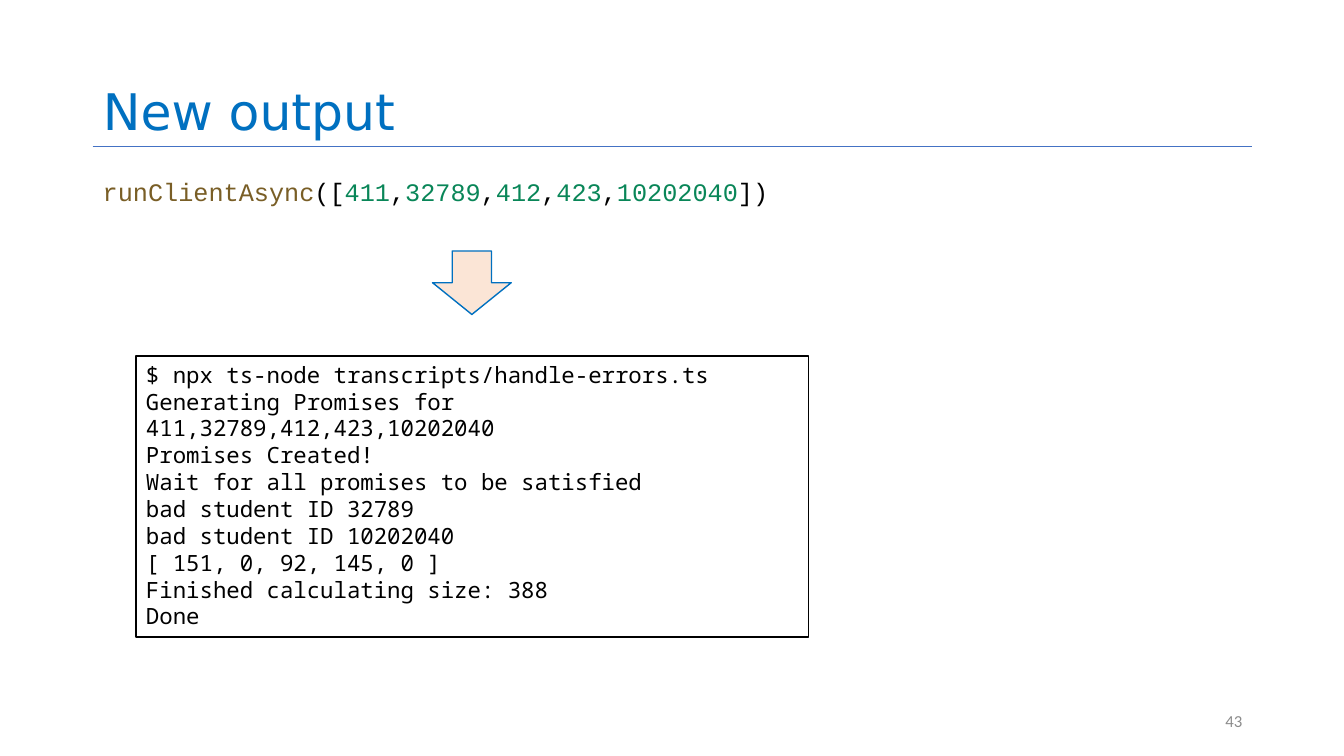
from pptx import Presentation
from pptx.dml.color import RGBColor
from pptx.enum.shapes import MSO_CONNECTOR, MSO_SHAPE
from pptx.enum.text import MSO_ANCHOR, PP_ALIGN
from pptx.oxml.ns import qn
from pptx.util import Inches, Pt
from lxml import etree

LINE = MSO_CONNECTOR.STRAIGHT
ARROW, RECT = MSO_SHAPE.DOWN_ARROW, MSO_SHAPE.RECTANGLE
TOP, MIDDLE, BOTTOM = MSO_ANCHOR.TOP, MSO_ANCHOR.MIDDLE, MSO_ANCHOR.BOTTOM
LEFT, RIGHT = PP_ALIGN.LEFT, PP_ALIGN.RIGHT

BLUE, BLACK, NAME, NUMBER = "0070C0", "000000", "795E26", "098658"
IDS = ["411", "32789", "412", "423", "10202040"]
OUTPUT = [
    "$ npx ts-node transcripts/handle-errors.ts",
    "Generating Promises for " + ",".join(IDS),
    "Promises Created!",
    "Wait for all promises to be satisfied",
    "bad student ID 32789",
    "bad student ID 10202040",
    "[ 151, 0, 92, 145, 0 ]",
    "Finished calculating size: 388",
    "Done",
]


def color(code):
    """Turn a hex string into a colour."""
    return RGBColor.from_string(code)


def box(place):
    """Turn left, top, width and height into lengths."""
    return [Inches(n) for n in place]


def write(shape, lines, font, size, code, anchor=TOP, align=LEFT):
    """Fill a shape with paragraphs in one font."""
    frame = shape.text_frame
    frame.word_wrap = True
    frame.vertical_anchor = anchor
    frame.text = "\n".join(lines)
    for para in frame.paragraphs:
        para.alignment = align
        para.font.name = font
        para.font.size = Pt(size)
        para.font.color.rgb = color(code)


def add_title(slide, text):
    """Place the title and the rule below it."""
    title = slide.shapes.title
    title.left, title.top, title.width, title.height = box((0.92, 0, 11.5, 1.45))
    write(title, [text], "DejaVu Sans", 36, BLUE, BOTTOM)
    title.text_frame.paragraphs[0].line_spacing = 0.9
    rule = slide.shapes.add_connector(LINE, *box((0.92, 1.45, 12.42, 1.45)))
    rule.line.color.rgb = color("4472C4")
    rule.line.width = Pt(0.5)
    etree.SubElement(rule._element.spPr, qn("a:effectLst"))


def add_text(slide, place, *style):
    """Add a text box with one paragraph."""
    label = slide.shapes.add_textbox(*box(place))
    write(label, *style)


def add_code(slide, place, parts):
    """Add one line of code from pairs of text and colour."""
    code = slide.shapes.add_textbox(*box(place))
    code.text_frame.word_wrap = True
    para = code.text_frame.paragraphs[0]
    para.font.name = "Courier New"
    para.font.size = Pt(18)
    for text, tint in parts:
        run = para.add_run()
        run.text = text
        run.font.color.rgb = color(tint)


def add_block(slide, kind, place, fill, edge):
    """Add a filled shape with a thin outline."""
    block = slide.shapes.add_shape(kind, *box(place))
    block.shadow.inherit = False
    block.fill.solid()
    block.fill.fore_color.rgb = color(fill)
    block.line.color.rgb = color(edge)
    block.line.width = Pt(1)
    return block


def main():
    """Build the slide and save it."""
    deck = Presentation()
    deck.slide_width, deck.slide_height = Inches(13.33), Inches(7.5)
    slide = deck.slides.add_slide(deck.slide_layouts[5])

    add_title(slide, "New output")
    add_text(slide, (9.42, 6.95, 3, 0.4), ["43"], "Calibri", 12, "8C8C8C", MIDDLE, RIGHT)

    call = [("runClientAsync", NAME), ("([", BLACK)]
    for item in IDS:
        call += [(item, NUMBER), (",", BLACK)]
    call[-1] = ("])", BLACK)
    add_code(slide, (0.92, 1.7, 7.53, 0.4), call)

    add_block(slide, ARROW, (4.29, 2.49, 0.78, 0.63), "FBE5D6", BLUE)
    screen = add_block(slide, RECT, (1.35, 3.53, 6.67, 2.79), "FFFFFF", BLACK)
    write(screen, OUTPUT, "Noto Sans Mono", 16, BLACK)

    deck.save("out.pptx")


if __name__ == "__main__":
    main()
